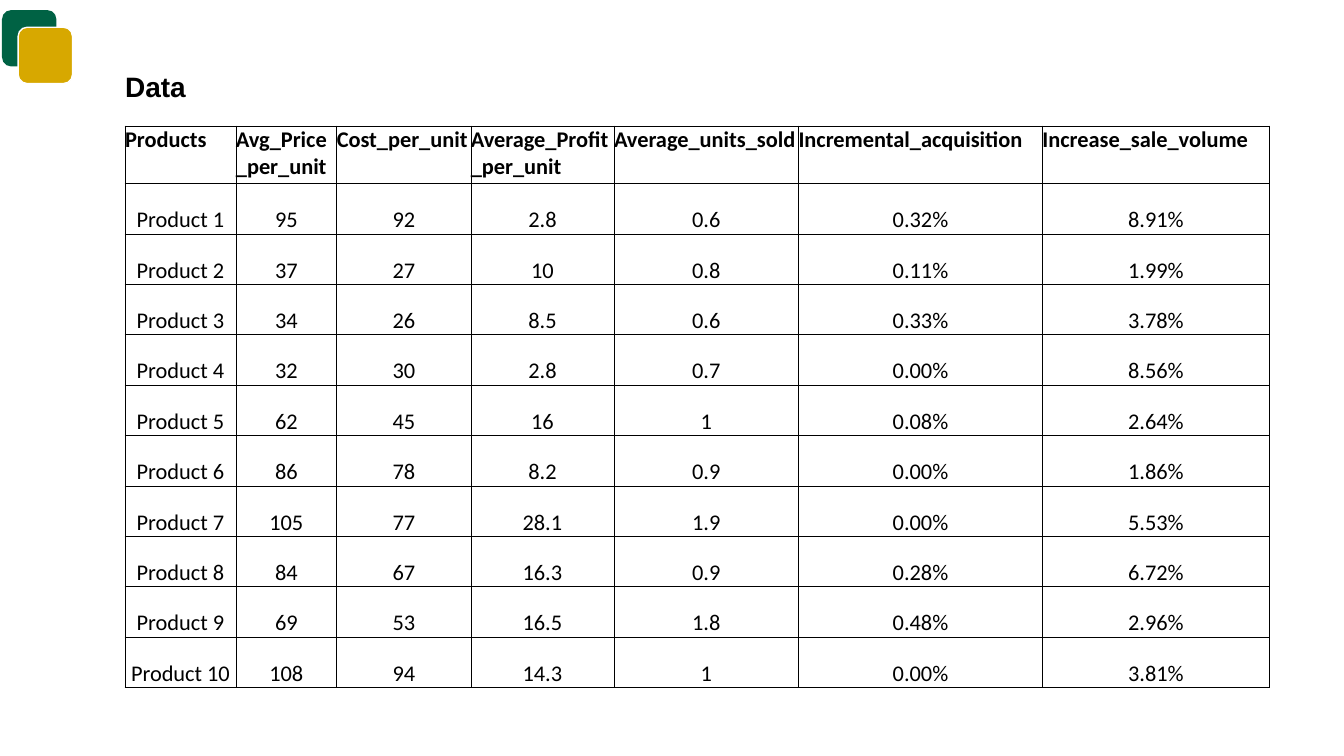
from dataclasses import dataclass

from lxml.etree import SubElement
from pptx import Presentation
from pptx.dml.color import RGBColor
from pptx.enum.shapes import MSO_SHAPE
from pptx.enum.text import MSO_ANCHOR, PP_ALIGN
from pptx.oxml.ns import qn
from pptx.util import Emu, Pt

EMU_PER_PX = 9144


@dataclass(frozen=True)
class Theme:
    """Colours, fonts and type sizes of the slide."""
    green: str = "006244"
    gold: str = "D7A800"
    white: str = "FFFFFF"
    black: str = "000000"
    title_font: str = "Arial"
    table_font: str = "Calibri"
    title_size: int = 20
    table_size: int = 16
    border_width: float = 0.5
    outline_width: float = 0.96


THEME = Theme()

COLUMN_WIDTHS = [110, 100, 133, 142, 183, 242, 225]
HEADER_HEIGHT = 57
ROW_HEIGHT = 50
HEADERS = ["Products", "Avg_Price_per_unit", "Cost_per_unit", "Average_Profit_per_unit",
           "Average_units_sold", "Incremental_acquisition", "Increase_sale_volume"]
PRODUCTS = [
    ["Product 1", "95", "92", "2.8", "0.6", "0.32%", "8.91%"],
    ["Product 2", "37", "27", "10", "0.8", "0.11%", "1.99%"],
    ["Product 3", "34", "26", "8.5", "0.6", "0.33%", "3.78%"],
    ["Product 4", "32", "30", "2.8", "0.7", "0.00%", "8.56%"],
    ["Product 5", "62", "45", "16", "1", "0.08%", "2.64%"],
    ["Product 6", "86", "78", "8.2", "0.9", "0.00%", "1.86%"],
    ["Product 7", "105", "77", "28.1", "1.9", "0.00%", "5.53%"],
    ["Product 8", "84", "67", "16.3", "0.9", "0.28%", "6.72%"],
    ["Product 9", "69", "53", "16.5", "1.8", "0.48%", "2.96%"],
    ["Product 10", "108", "94", "14.3", "1", "0.00%", "3.81%"],
]


def px(length):
    """Turn whole px into EMU."""
    return Emu(length * EMU_PER_PX)


def write_text(frame, text, *, font, size, bold=False, align=PP_ALIGN.LEFT):
    """Write one formatted paragraph into a text frame."""
    paragraph = frame.paragraphs[0]
    paragraph.alignment = align
    run = paragraph.add_run()
    run.text = text
    run.font.name = font
    run.font.size = Pt(size)
    run.font.bold = bold
    run.font.color.rgb = RGBColor.from_string(THEME.black)


def clear_margins(holder):
    """Remove the inner margins of a cell or text frame."""
    holder.margin_left = holder.margin_right = 0
    holder.margin_top = holder.margin_bottom = 0


def add_square(slide, left, top, color, outline=None):
    """Add one rounded corner square."""
    square = slide.shapes.add_shape(
        MSO_SHAPE.ROUNDED_RECTANGLE, px(left), px(top), px(54), px(56))
    square.adjustments[0] = 0.17
    square.shadow.inherit = False
    square.fill.solid()
    square.fill.fore_color.rgb = RGBColor.from_string(color)
    if outline:
        square.line.color.rgb = RGBColor.from_string(outline)
        square.line.width = Pt(THEME.outline_width)
    else:
        square.line.fill.background()


def set_title(slide, text):
    """Place and fill the title placeholder."""
    title = slide.shapes.title
    title.left, title.top, title.width, title.height = px(124), px(69), px(1086), px(34)
    frame = title.text_frame
    clear_margins(frame)
    frame.vertical_anchor = MSO_ANCHOR.TOP
    write_text(frame, text, font=THEME.title_font, size=THEME.title_size, bold=True)


def set_borders(cell):
    """Draw a thin line on all four sides of a cell."""
    properties = cell._tc.get_or_add_tcPr()
    for side in ("a:lnL", "a:lnR", "a:lnT", "a:lnB"):
        line = SubElement(properties, qn(side), w=str(Pt(THEME.border_width)))
        fill = SubElement(line, qn("a:solidFill"))
        SubElement(fill, qn("a:srgbClr"), val=THEME.black)


def fill_cell(cell, text, is_header):
    """Format one table cell and write its text."""
    clear_margins(cell)
    cell.vertical_anchor = MSO_ANCHOR.TOP if is_header else MSO_ANCHOR.BOTTOM
    set_borders(cell)
    cell.fill.background()
    write_text(cell.text_frame, text, font=THEME.table_font, size=THEME.table_size,
               bold=is_header, align=PP_ALIGN.LEFT if is_header else PP_ALIGN.CENTER)


def add_product_table(slide, left, top):
    """Add the table of product figures."""
    rows = [HEADERS, *PRODUCTS]
    height = HEADER_HEIGHT + ROW_HEIGHT * len(PRODUCTS)
    table = slide.shapes.add_table(len(rows), len(HEADERS), px(left), px(top),
                                   px(sum(COLUMN_WIDTHS)), px(height)).table
    table.first_row = False
    table.horz_banding = False
    for column, width in zip(table.columns, COLUMN_WIDTHS):
        column.width = px(width)
    for row_index, values in enumerate(rows):
        is_header = row_index == 0
        table.rows[row_index].height = px(HEADER_HEIGHT if is_header else ROW_HEIGHT)
        for column_index, value in enumerate(values):
            fill_cell(table.cell(row_index, column_index), value, is_header)


def main():
    """Build the slide and save it."""
    presentation = Presentation()
    presentation.slide_width, presentation.slide_height = px(1333), px(750)
    slide = presentation.slides.add_slide(presentation.slide_layouts[5])
    add_square(slide, 2, 10, THEME.green)
    add_square(slide, 18, 27, THEME.gold, outline=THEME.white)
    set_title(slide, "Data")
    add_product_table(slide, 124, 125)
    presentation.save("out.pptx")


if __name__ == "__main__":
    main()
